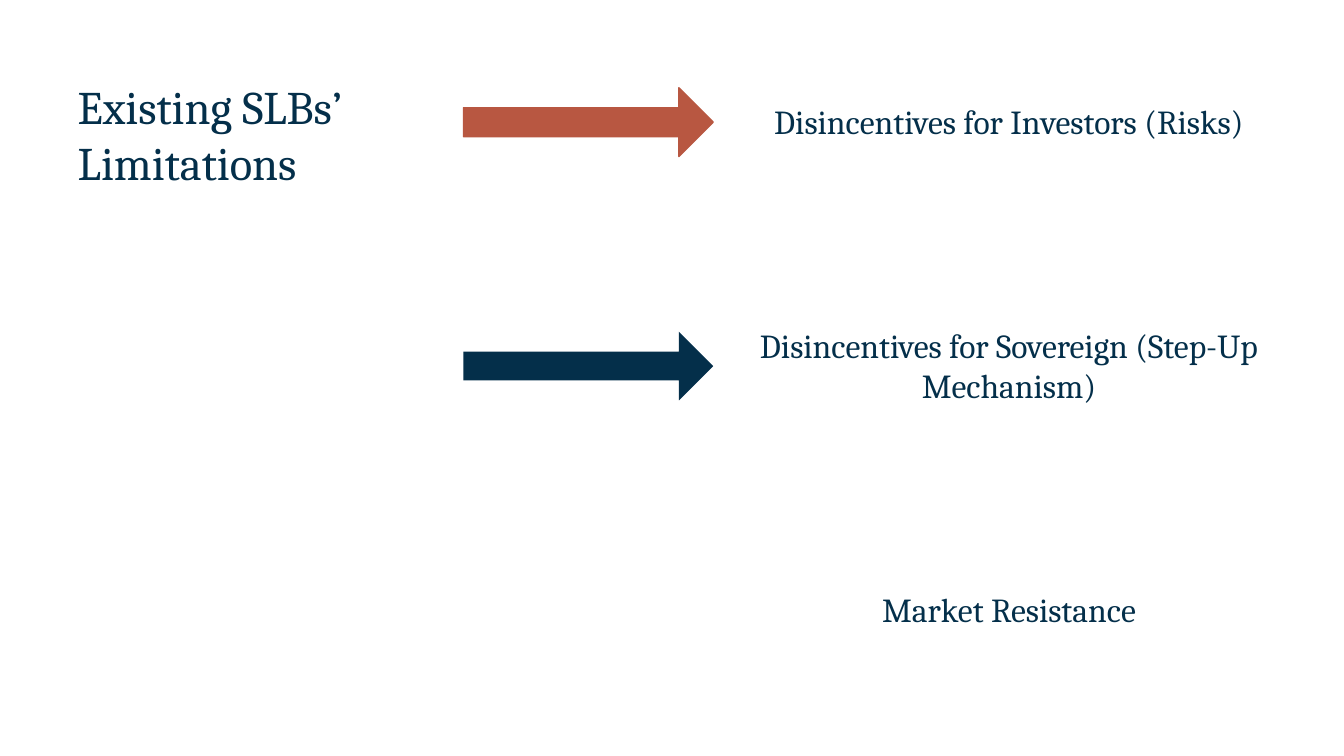
"""Build the slide on the limitations of existing SLBs."""
from pptx import Presentation
from pptx.dml.color import RGBColor
from pptx.enum.shapes import MSO_SHAPE as Shape
from pptx.enum.text import MSO_ANCHOR as Anchor, PP_ALIGN as Align
from pptx.oxml.ns import qn
from pptx.util import Cm, Pt
from lxml.etree import SubElement

NAVY = RGBColor(0x04, 0x2F, 0x4A)
RUST = RGBColor(0xB8, 0x57, 0x41)
WHITE = RGBColor(0xFF, 0xFF, 0xFF)


def style(frame, size):
    for para in frame.paragraphs:
        for run in para.runs:
            run.font.name = "Cambria"
            run.font.size = Pt(size)
            run.font.color.rgb = NAVY


deck = Presentation()
deck.slide_width, deck.slide_height = Cm(25.4), Cm(14.29)
slide = deck.slides.add_slide(deck.slide_layouts[6])
shapes = slide.shapes

title = shapes.add_textbox(Cm(1.22), Cm(1.22), Cm(10.29), Cm(5.69))
frame = title.text_frame
frame.word_wrap = True
frame.margin_left = frame.margin_right = Cm(0.25)
frame.margin_top = frame.margin_bottom = Cm(0.25)
frame.text = "Existing SLBs’\nLimitations"
style(frame, 25)

rows = [
    ("Disincentives for Investors (Risks)", RUST),
    ("Disincentives for Sovereign (Step-Up Mechanism)", NAVY),
    ("Market Resistance", WHITE),
]
for i, (label, color) in enumerate(rows):
    top = 0.97 + 4.61 * i

    arrow = shapes.add_shape(
        Shape.RIGHT_ARROW, Cm(8.76), Cm(top + 0.69), Cm(4.72), Cm(1.3))
    arrow.shadow.inherit = False
    arrow.adjustments[0] = 0.42
    arrow.fill.solid()
    arrow.fill.fore_color.rgb = color
    if color == RUST:
        arrow.line.color.rgb = RUST
        arrow.line.width = Pt(0.75)
    else:
        arrow.line.fill.background()

    box = shapes.add_shape(
        Shape.RECTANGLE, Cm(13.89), Cm(top), Cm(10.36), Cm(2.64))
    box.shadow.inherit = False
    box.fill.solid()
    box.fill.fore_color.rgb = WHITE
    tint = box.fill._xPr.find(qn("a:solidFill"))[0]
    SubElement(tint, qn("a:alpha")).set("val", "76000")
    box.line.fill.background()
    frame = box.text_frame
    frame.word_wrap = True
    frame.vertical_anchor = Anchor.MIDDLE
    frame.text = label
    frame.paragraphs[0].alignment = Align.CENTER
    style(frame, 18)

deck.save("out.pptx")
